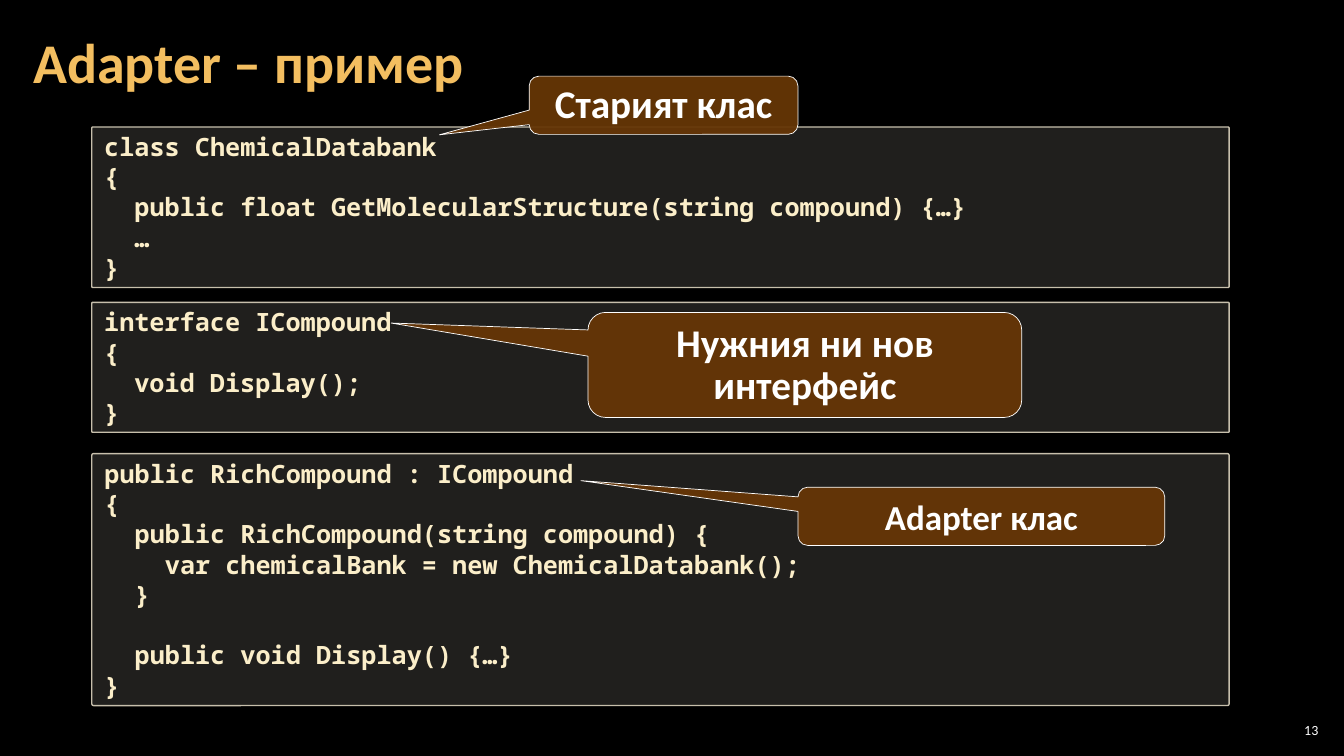
from pptx import Presentation
from pptx import util as u
from pptx.dml import color
from pptx.enum import shapes, text
from pptx.oxml import ns
from lxml import etree

Pt = u.Pt
LINE_PITCH = 21.6


def paint(part, hex_color):
    part.rgb = color.RGBColor.from_string(hex_color)


def write(shape, content, size, hex_color, font="Calibri", bold=True,
          align=text.PP_ALIGN.LEFT, anchor=text.MSO_ANCHOR.MIDDLE,
          insets=(8.64, 2.88), spacing=None):
    frame = shape.text_frame
    frame.word_wrap = True
    frame.auto_size = text.MSO_AUTO_SIZE.NONE
    frame.vertical_anchor = anchor
    frame.margin_left = frame.margin_right = Pt(insets[0])
    frame.margin_top = frame.margin_bottom = Pt(insets[1])
    paragraph, gap = frame.paragraphs[0], 0
    for number, line in enumerate(content.split("\n")):
        if not line:
            gap += LINE_PITCH
            continue
        if number:
            paragraph = frame.add_paragraph()
        paragraph.alignment = align
        paragraph.space_before, gap = Pt(gap), 0
        if spacing:
            paragraph.line_spacing = spacing
        run = paragraph.add_run()
        run.text = line
        run.font.name, run.font.size, run.font.bold = font, Pt(size), bold
        paint(run.font.color, hex_color)


deck = Presentation()
deck.slide_width, deck.slide_height = Pt(960), Pt(540)
slide = deck.slides.add_slide(deck.slide_layouts[5])
slide.background.fill.solid()
paint(slide.background.fill.fore_color, "000000")

heading = slide.shapes.title
heading.left, heading.top, heading.width, heading.height = Pt(15.1), Pt(2.9), Pt(929.5), Pt(87.1)
write(heading, "Adapter – пример", 40, "F3BE60", spacing=0.9)

old_class = """class ChemicalDatabank
{
  public float GetMolecularStructure(string compound) {…}
  …
}"""
new_interface = """interface ICompound
{
  void Display();
}"""
adapter_class = """public RichCompound : ICompound
{
  public RichCompound(string compound) {
    var chemicalBank = new ChemicalDatabank();
  }

  public void Display() {…}
}"""

code_look = dict(
    preset=shapes.MSO_SHAPE.ROUNDED_RECTANGLE, fill="D9D5C7", opacity=15, line="C7BFAC", weight=1,
    words=dict(hex_color="FBEEC9", font="Noto Sans Mono", anchor=text.MSO_ANCHOR.TOP))
callout_look = dict(
    preset=shapes.MSO_SHAPE.ROUNDED_RECTANGULAR_CALLOUT, fill="663606", opacity=95, line="FFFFFF", weight=0.5,
    words=dict(hex_color="FFFFFF", align=text.PP_ALIGN.CENTER, insets=(7.2, 3.6), spacing=Pt(30)))

panels = [
    (code_look, old_class, 18, (65.6, 90.7, 812.4, 114.7), (0.007,)),
    (code_look, new_interface, 18, (65.6, 216, 812.4, 92.8), (0.007,)),
    (code_look, adapter_class, 18, (65.6, 324, 812.4, 180), (0.007,)),
    (callout_look, "Старият клас", 28, (378, 54.4, 192, 41.6), (-0.834, 0.508, 0.167)),
    (callout_look, "Нужния ни нов интерфейс", 28, (420, 223.2, 309.8, 75), (-0.954, -0.399, 0.167)),
    (callout_look, "Adapter клас", 25, (570, 348, 262, 41.6), (-1.092, -0.613, 0.167)),
]
for look, content, size, place, bends in panels:
    panel = slide.shapes.add_shape(look["preset"], *map(Pt, place))
    panel.shadow.inherit = False
    for index, bend in enumerate(bends):
        panel.adjustments[index] = bend
    panel.fill.solid()
    paint(panel.fill.fore_color, look["fill"])
    tint = panel.element.spPr.find(ns.qn("a:solidFill")).find(ns.qn("a:srgbClr"))
    etree.SubElement(tint, ns.qn("a:alpha")).set("val", str(look["opacity"] * 1000))
    paint(panel.line.color, look["line"])
    panel.line.width = Pt(look["weight"])
    write(panel, content, size, **look["words"])

page_number = slide.shapes.add_textbox(Pt(910.8), Pt(514.1), Pt(33.8), Pt(15.1))
write(page_number, "13", 10, "FFFFFF", bold=False, align=text.PP_ALIGN.RIGHT, insets=(2.88, 2.88))

deck.save("out.pptx")
